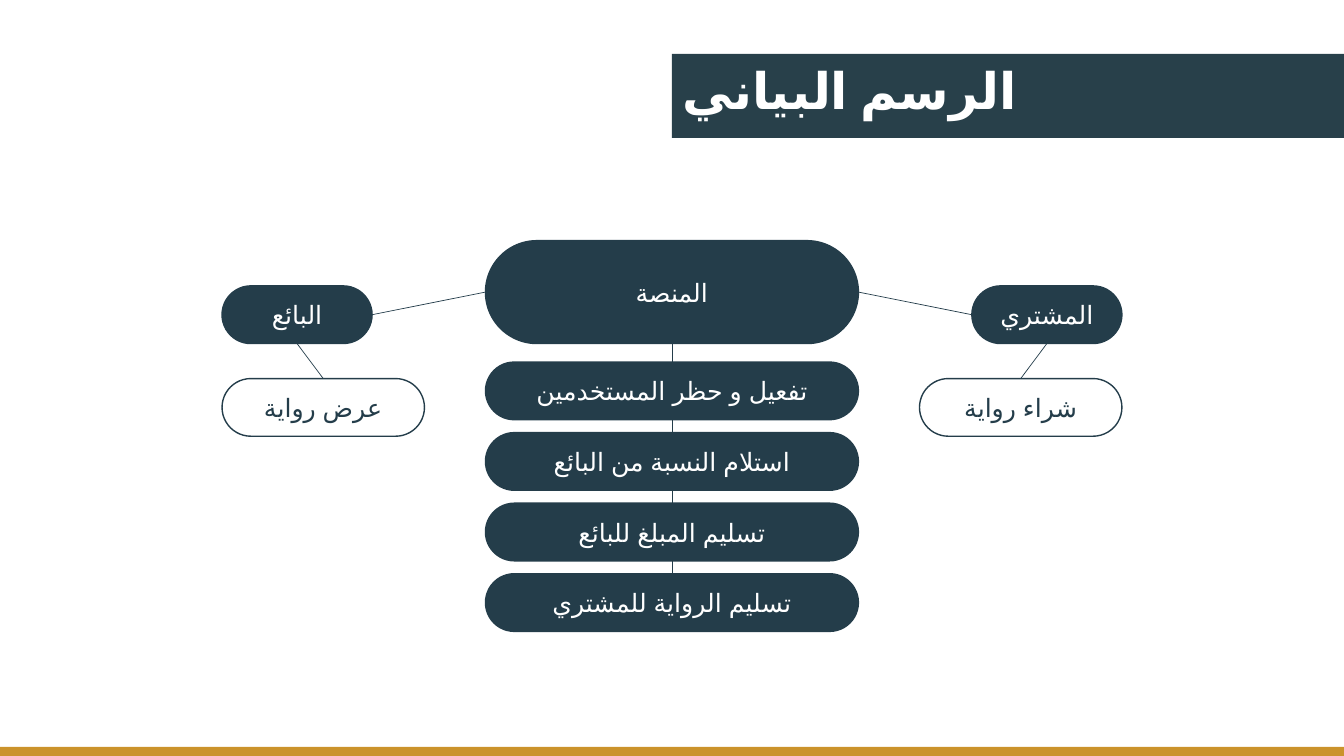
"""Build the platform diagram slide linking the seller, the platform and the buyer."""
from dataclasses import dataclass

from lxml.etree import SubElement
from pptx import Presentation
from pptx.dml.color import RGBColor
from pptx.enum.lang import MSO_LANGUAGE_ID as Language
from pptx.enum.shapes import MSO_CONNECTOR as Connector
from pptx.enum.shapes import MSO_SHAPE as ShapeKind
from pptx.enum.text import MSO_ANCHOR as Anchor
from pptx.enum.text import MSO_AUTO_SIZE as AutoSize
from pptx.enum.text import PP_ALIGN as Align
from pptx.oxml.ns import qn
from pptx.shapes.autoshape import Shape
from pptx.slide import Slide
from pptx.util import Pt

NAVY = RGBColor(0x24, 0x3D, 0x4A)
TITLE_NAVY = RGBColor(0x28, 0x40, 0x4A)
GOLD = RGBColor(0xCB, 0x93, 0x2B)
WHITE = RGBColor(0xFF, 0xFF, 0xFF)

SLIDE_WIDTH, SLIDE_HEIGHT = 960, 540
PILL_HEIGHT = 41.2
ROLE_WIDTH, ROLE_TOP = 107.2, 204.2
ACTION_WIDTH, ACTION_TOP = 144.6, 270.4
MARGIN = 158.6
CENTRE_LEFT, CENTRE_WIDTH = 346.8, 266.4
STEP_TOP, STEP_PITCH = 258.6, 50.4
TOP_SITE, LEFT_SITE, BOTTOM_SITE, RIGHT_SITE = range(4)


@dataclass(frozen=True)
class Pill:
    text: str
    left: float
    top: float
    width: float
    height: float = PILL_HEIGHT
    fill: RGBColor = NAVY
    color: RGBColor = WHITE


@dataclass(frozen=True)
class Link:
    start: str
    start_site: int
    end: str
    end_site: int


STEPS = (
    "تفعيل و حظر المستخدمين",
    "استلام النسبة من البائع",
    "تسليم المبلغ للبائع",
    "تسليم الرواية للمشتري",
)

PILLS = {
    "buyer": Pill("المشتري", SLIDE_WIDTH - MARGIN - ROLE_WIDTH, ROLE_TOP, ROLE_WIDTH),
    "seller": Pill("البائع", MARGIN, ROLE_TOP, ROLE_WIDTH),
    "platform": Pill("المنصة", CENTRE_LEFT, 171.9, CENTRE_WIDTH, 73.5),
    "offer": Pill("عرض رواية", MARGIN, ACTION_TOP, ACTION_WIDTH,
                  fill=WHITE, color=NAVY),
    "purchase": Pill("شراء رواية", SLIDE_WIDTH - MARGIN - ACTION_WIDTH, ACTION_TOP,
                     ACTION_WIDTH, fill=WHITE, color=NAVY),
} | {
    f"step {index}": Pill(text, CENTRE_LEFT, STEP_TOP + index * STEP_PITCH, CENTRE_WIDTH)
    for index, text in enumerate(STEPS)
}

CHAIN = ["platform"] + [f"step {index}" for index in range(len(STEPS))]
LINKS = [
    Link("buyer", BOTTOM_SITE, "purchase", TOP_SITE),
    Link("buyer", LEFT_SITE, "platform", RIGHT_SITE),
    Link("platform", LEFT_SITE, "seller", RIGHT_SITE),
    Link("seller", BOTTOM_SITE, "offer", TOP_SITE),
] + [Link(lower, TOP_SITE, upper, BOTTOM_SITE) for upper, lower in zip(CHAIN, CHAIN[1:])]


def write_text(shape: Shape, text: str, *, size: float, font: str, color: RGBColor,
               bold: bool = False, align: Align = Align.CENTER,
               anchor: Anchor = Anchor.MIDDLE) -> None:
    frame = shape.text_frame
    frame.word_wrap = True
    frame.vertical_anchor = anchor
    paragraph = frame.paragraphs[0]
    paragraph.alignment = align
    paragraph._p.get_or_add_pPr().set("rtl", "1")
    run = paragraph.add_run()
    run.text = text
    run.font.language_id = Language.ARABIC
    run.font.size = Pt(size)
    run.font.bold = bold
    run.font.color.rgb = color
    run.font.name = font
    SubElement(run.font._element, qn("a:cs")).set("typeface", font)


def paint(shape: Shape, fill: RGBColor) -> None:
    shape.fill.solid()
    shape.fill.fore_color.rgb = fill


def add_title(slide: Slide, text: str) -> None:
    title = slide.shapes.title
    title.left, title.top = Pt(SLIDE_WIDTH / 2), Pt(38.4)
    title.width, title.height = Pt(SLIDE_WIDTH / 2), Pt(50.9)
    paint(title, TITLE_NAVY)
    write_text(title, text, size=36, font="Lato", color=WHITE, bold=True,
               align=Align.LEFT, anchor=Anchor.TOP)
    title.text_frame.auto_size = AutoSize.SHAPE_TO_FIT_TEXT


def add_pill(slide: Slide, pill: Pill) -> Shape:
    shape = slide.shapes.add_shape(ShapeKind.ROUNDED_RECTANGLE, Pt(pill.left), Pt(pill.top),
                                   Pt(pill.width), Pt(pill.height))
    shape.adjustments[0] = 0.5
    shape.shadow.inherit = False
    paint(shape, pill.fill)
    shape.line.color.rgb = NAVY
    shape.line.width = Pt(1)
    write_text(shape, pill.text, size=18, font="Arial", color=pill.color)
    return shape


def add_link(slide: Slide, link: Link, shapes: dict[str, Shape]) -> None:
    connector = slide.shapes.add_connector(Connector.STRAIGHT, 0, 0, 0, 0)
    connector.begin_connect(shapes[link.start], link.start_site)
    connector.end_connect(shapes[link.end], link.end_site)
    connector.line.color.rgb = NAVY
    connector.line.width = Pt(0.5)
    SubElement(connector._element.spPr, qn("a:effectLst"))


def add_footer_bar(slide: Slide) -> None:
    top = 533.6
    bar = slide.shapes.add_shape(ShapeKind.RECTANGLE, 0, Pt(top),
                                 Pt(SLIDE_WIDTH), Pt(SLIDE_HEIGHT - top))
    bar.shadow.inherit = False
    paint(bar, GOLD)
    bar.line.fill.background()


def main() -> None:
    presentation = Presentation()
    presentation.slide_width, presentation.slide_height = Pt(SLIDE_WIDTH), Pt(SLIDE_HEIGHT)
    slide = presentation.slides.add_slide(presentation.slide_layouts.get_by_name("Title Only"))
    add_title(slide, "الرسم البياني")
    shapes = {name: add_pill(slide, pill) for name, pill in PILLS.items()}
    for link in LINKS:
        add_link(slide, link, shapes)
    add_footer_bar(slide)
    presentation.save("out.pptx")


if __name__ == "__main__":
    main()
